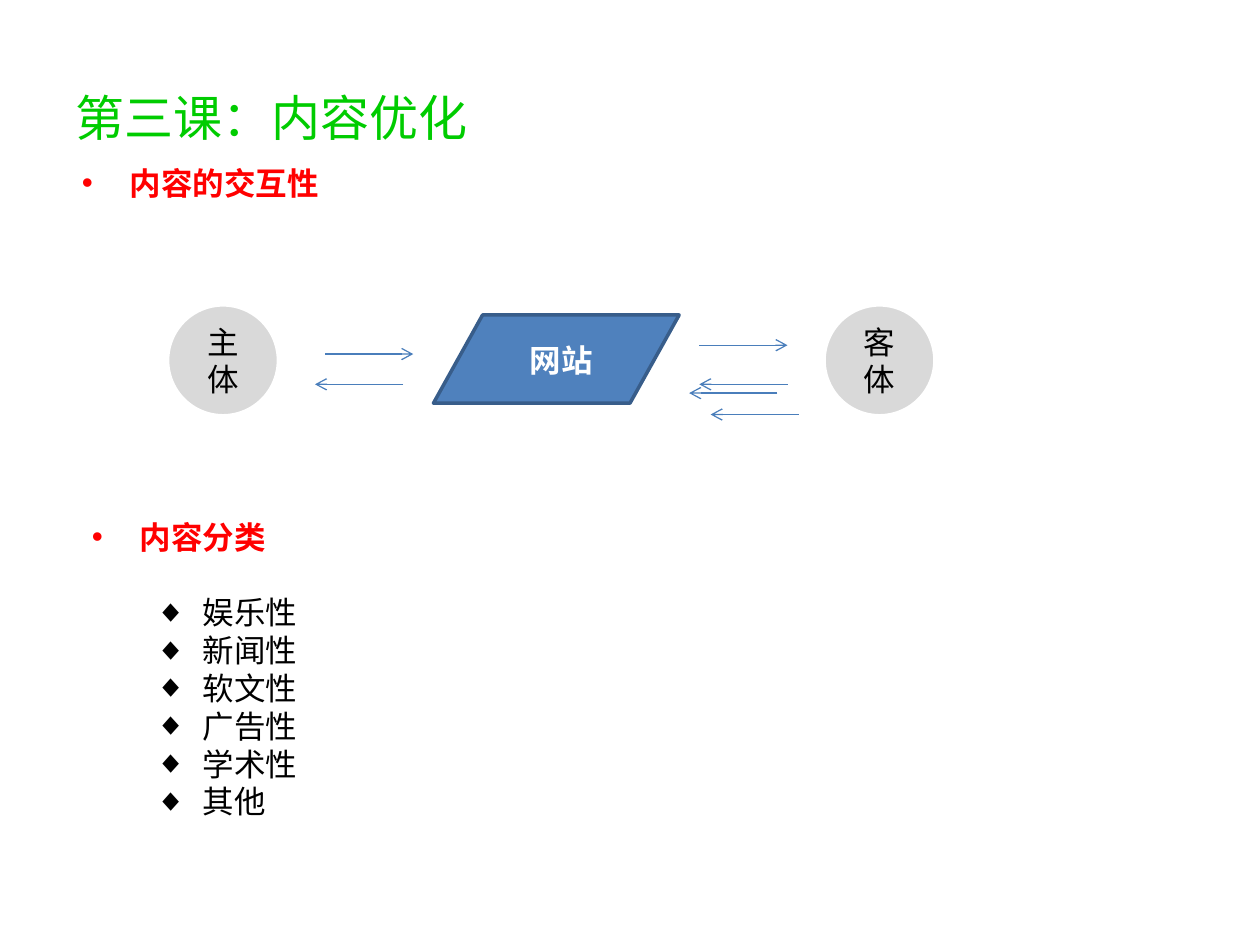
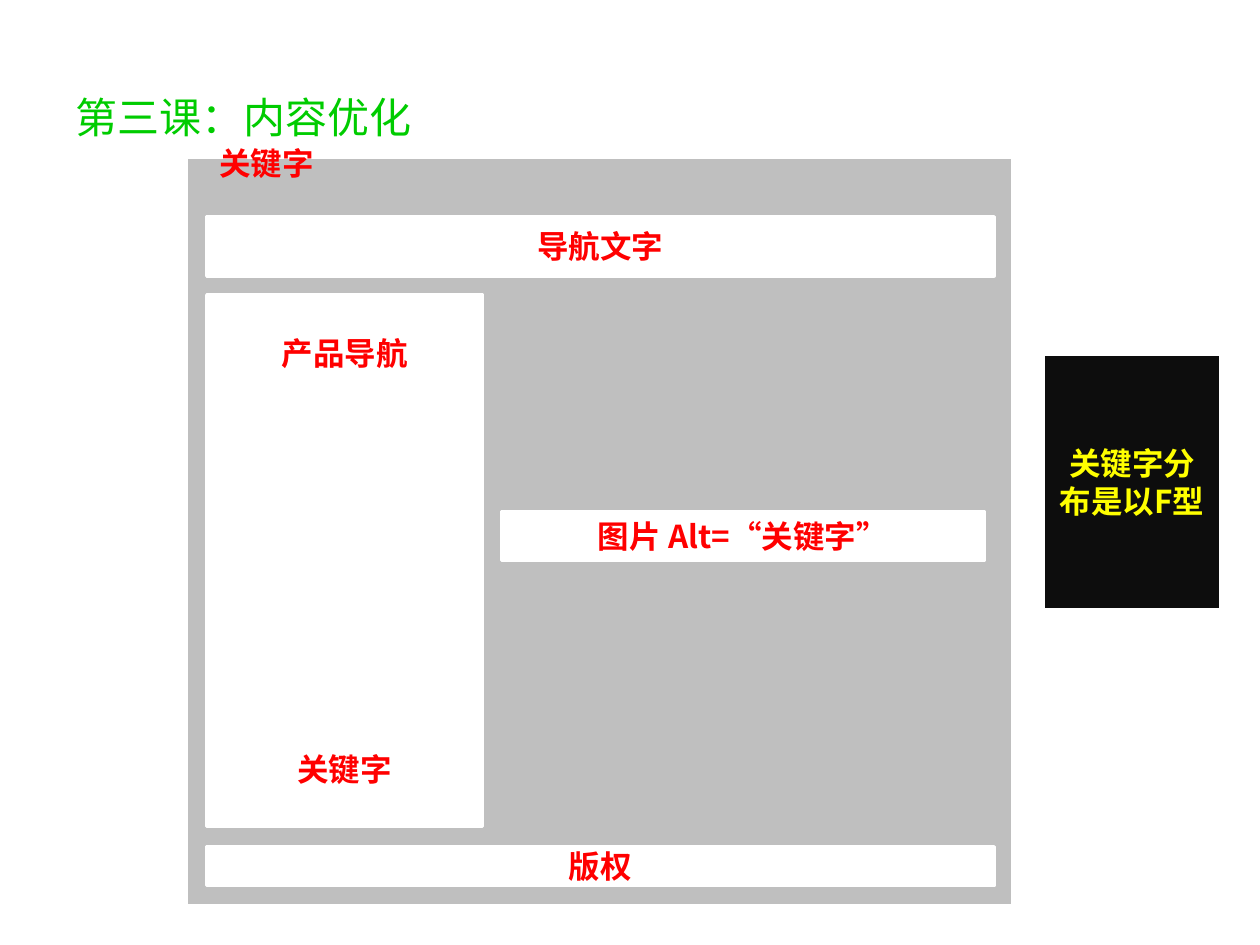
from lxml import etree
from pptx import Presentation
from pptx import util as u
from pptx.dml import color
from pptx.enum import shapes, text
from pptx.oxml import ns

CJK = "Noto Sans CJK SC"
TITLE = "第三课：内容优化"
GREEN, RED, YELLOW = "00CC00", "FF0000", "FFFF00"
BLACK, WHITE = "000000", "FFFFFF"
NEAR_BLACK, PALE_GREY, MID_GREY = "0D0D0D", "D9D9D9", "BFBFBF"
BLUE, DARK_BLUE, ARROW_BLUE = "4F81BD", "385D8A", "4A7EBB"
SIZE = 18
LINE_HEIGHT = 1.2 * SIZE
LEFT, CENTER = text.PP_ALIGN.LEFT, text.PP_ALIGN.CENTER


def rgb(value):
    return color.RGBColor.from_string(value)


def apply(target, values):
    for name, value in values.items():
        setattr(target, name, value)


def add_xml(parent, tag, **attributes):
    return etree.SubElement(parent, ns.qn(tag), attributes)


def place(box, left, top, width, height):
    apply(box, {"left": u.Inches(left), "top": u.Inches(top),
                "width": u.Inches(width), "height": u.Inches(height)})


def write(para, words, hue, font=CJK, size=SIZE, bold=False, align=LEFT, before=0):
    apply(para, {"alignment": align, "space_before": u.Pt(before)})
    span = para.add_run()
    span.text = words
    apply(span.font, {"name": font, "size": u.Pt(size), "bold": bold})
    span.font.color.rgb = rgb(hue)
    add_xml(span.font._element, "a:ea", typeface=CJK)


def next_para(frame, index):
    return frame.paragraphs[0] if index == 0 else frame.add_paragraph()


def add_page(deck, layout, title_size):
    page = deck.slides.add_slide(deck.slide_layouts.get_by_name(layout))
    title = page.shapes.title
    place(title, 0.5, 0.3, 9, 1.25)
    title.text_frame.vertical_anchor = text.MSO_ANCHOR.MIDDLE
    write(title.text_frame.paragraphs[0], TITLE, GREEN, size=title_size)
    return page


def set_bullet(para, char, hue, margin):
    props = para._p.get_or_add_pPr()
    props.set("marL", str(u.Inches(margin)))
    props.set("indent", str(-u.Inches(0.38)))
    add_xml(add_xml(props, "a:buClr"), "a:srgbClr", val=hue)
    add_xml(props, "a:buFont", typeface="Arial")
    add_xml(props, "a:buChar", char=char)


def fill_list(box, area, heading, items=()):
    place(box, *area)
    frame = box.text_frame
    frame.auto_size = text.MSO_AUTO_SIZE.NONE
    head = frame.paragraphs[0]
    set_bullet(head, "•", RED, 0.38)
    write(head, heading, RED, bold=True)
    for index, item in enumerate(items):
        para = frame.add_paragraph()
        para.level = 1
        set_bullet(para, "◆", BLACK, 0.88)
        write(para, item, BLACK, before=0 if index else LINE_HEIGHT)


def add_block(page, kind, area, fill, lines=(), hue=RED, font="Calibri",
              bold=True, gap=0, outline=WHITE):
    box = page.shapes.add_shape(kind, *map(u.Inches, area))
    box.shadow.inherit = False
    box.fill.solid()
    box.fill.fore_color.rgb = rgb(fill)
    box.line.color.rgb = rgb(outline)
    box.line.width = u.Pt(2)
    box.text_frame.vertical_anchor = text.MSO_ANCHOR.MIDDLE
    for index, words in enumerate(lines):
        write(next_para(box.text_frame, index), words, hue, font=font, bold=bold,
              align=CENTER, before=gap if index else 0)


def add_label(page, area, words, hue, align=LEFT):
    box = page.shapes.add_textbox(*map(u.Inches, area))
    box.text_frame.word_wrap = True
    write(box.text_frame.paragraphs[0], words, hue, font="Arial", bold=True, align=align)


def add_arrow(page, start, end, height):
    arrow = page.shapes.add_connector(
        shapes.MSO_CONNECTOR.STRAIGHT, *map(u.Inches, (start, height, end, height)))
    arrow.line.color.rgb = rgb(ARROW_BLUE)
    arrow.line.width = u.Pt(0.75)
    add_xml(arrow.line._get_or_add_ln(), "a:tailEnd", type="arrow")
    add_xml(arrow._element.spPr, "a:effectLst")


def build_interaction(deck):
    page = add_page(deck, "Two Content", 28)
    fill_list(page.placeholders[1], (0.55, 1.25, 8.98, 0.74), "内容的交互性")
    fill_list(page.placeholders[2], (0.63, 4.06, 8.91, 2.88), "内容分类",
              ("娱乐性", "新闻性", "软文性", "广告性", "学术性", "其他"))
    add_block(page, shapes.MSO_SHAPE.FLOWCHART_DATA, (3.44, 2.5, 1.95, 0.7), BLUE,
              outline=DARK_BLUE)
    add_label(page, (3.91, 2.66, 1.09, 0.4), "网站", WHITE, CENTER)
    for left, party in ((1.33, "主体"), (6.54, "客体")):
        add_block(page, shapes.MSO_SHAPE.OVAL, (left, 2.42, 0.88, 0.88), PALE_GREY,
                  [party], hue=BLACK, bold=False)
    length = 0.7
    for left, height in ((2.58, 2.81), (5.55, 2.74)):
        add_arrow(page, left, left + length, height)
    for left, height in ((2.5, 3.05), (5.55, 3.05), (5.47, 3.12), (5.64, 3.29)):
        add_arrow(page, left + length, left, height)


def build_keyword_layout(deck):
    page = add_page(deck, "Title Only", 24)
    rect = shapes.MSO_SHAPE.RECTANGLE
    add_block(page, rect, (1.48, 1.25, 6.56, 5.94), MID_GREY)
    add_block(page, rect, (1.64, 1.72, 6.25, 0.47), WHITE, ["导航文字"])
    add_block(page, rect, (1.64, 2.34, 2.19, 4.22), WHITE, ["产品导航", "关键字"],
              gap=10 * LINE_HEIGHT)
    add_block(page, rect, (3.98, 4.06, 3.83, 0.39), WHITE, ["图片 Alt=“关键字”"], font=CJK)
    add_block(page, rect, (1.64, 6.72, 6.25, 0.31), WHITE, ["版权"])
    add_label(page, (1.64, 1.09, 1.09, 0.4), "关键字", RED)
    add_block(page, rect, (8.28, 2.81, 1.41, 2.03), NEAR_BLACK, ["关键字分布是以F型"],
              hue=YELLOW, font=CJK)


def main():
    deck = Presentation()
    apply(deck, {"slide_width": u.Inches(10), "slide_height": u.Inches(7.5)})
    build_interaction(deck)
    build_keyword_layout(deck)
    deck.save("out.pptx")


if __name__ == "__main__":
    main()
